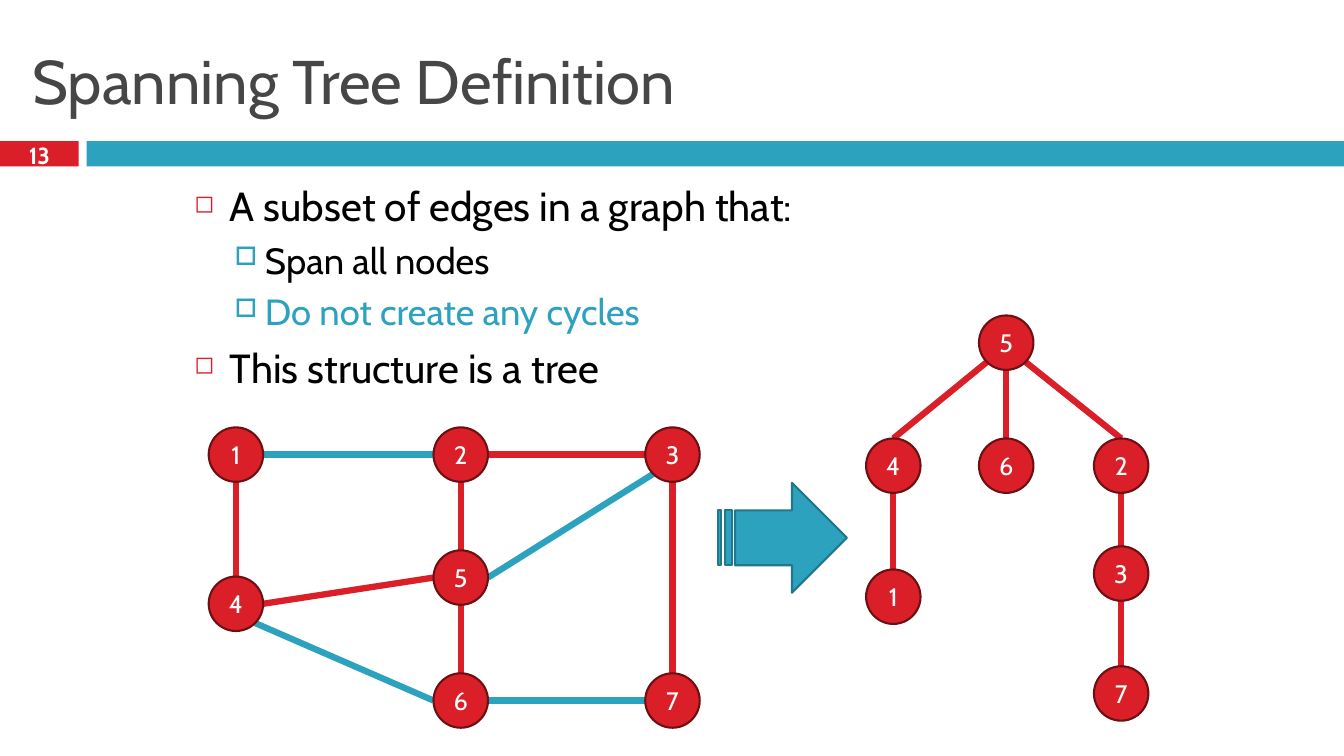
from lxml.etree import SubElement
from pptx import Presentation
from pptx.dml.color import RGBColor
from pptx.enum.shapes import MSO_CONNECTOR as Connector, MSO_SHAPE as Shape
from pptx.enum.text import MSO_ANCHOR as Anchor, PP_ALIGN as Align
from pptx.oxml.ns import qn
from pptx.util import Inches, Pt

RED, TEAL, WHITE, BLACK = "DA1F28", "2DA2BF", "FFFFFF", "000000"
DARK_RED, DARK_TEAL, GREY = "6D1014", "21788D", "464646"
NODE = 0.54
RADIUS = NODE / 2
DIAGONAL = RADIUS * 0.71

# Points on a node's rim, as offsets from its centre
RIM = {
    "top": (0, -RADIUS), "bottom": (0, RADIUS),
    "left": (-RADIUS, 0), "right": (RADIUS, 0),
    "lower left": (-DIAGONAL, DIAGONAL), "lower right": (DIAGONAL, DIAGONAL),
}


def color(hex_code):
    return RGBColor.from_string(hex_code)


def add_preset(page, kind, box, fill, outline=None):
    shape = page.shapes.add_shape(kind, *map(Inches, box))
    shape.shadow.inherit = False
    shape.fill.solid()
    shape.fill.fore_color.rgb = color(fill)
    if outline:
        shape.line.color.rgb = color(outline)
        shape.line.width = Pt(1.5)
    else:
        shape.line.fill.background()
    return shape


def add_text_frame(page, box, anchor=Anchor.MIDDLE):
    frame = page.shapes.add_textbox(*map(Inches, box)).text_frame
    frame.word_wrap = True
    frame.vertical_anchor = anchor
    return frame


def write(para, text, size, ink, align=Align.LEFT, bold=False):
    para.text = text
    para.alignment = align
    para.font.name = "Cabin"
    para.font.size = Pt(size)
    para.font.bold = bold
    para.font.color.rgb = color(ink)


def add_bullet(para, char, ink, percent, margin, hanging):
    props = para._p.get_or_add_pPr()
    props.set("marL", str(Inches(margin)))
    props.set("indent", str(-Inches(hanging)))
    bullet_color = SubElement(props, qn("a:buClr"))
    SubElement(bullet_color, qn("a:srgbClr"), val=ink)
    SubElement(props, qn("a:buSzPct"), val=str(percent * 1000))
    SubElement(props, qn("a:buChar"), char=char)


def add_header(page, box, title, number):
    left, top, width, height = box
    bar_top, bar_height, number_width, bar_left = top + 1.4, 0.25, 0.78, 0.86
    add_preset(page, Shape.RECTANGLE, (left, bar_top, number_width, bar_height), RED)
    add_preset(page, Shape.RECTANGLE,
               (left + bar_left, bar_top, width - bar_left, bar_height), TEAL)
    title_frame = add_text_frame(page, (left + 0.22, top + 0.25, width - 0.44, 1.08))
    write(title_frame.paragraphs[0], title, 44, GREY)
    number_frame = add_text_frame(page, (left, bar_top - 0.03, number_width, 0.33))
    write(number_frame.paragraphs[0], number, 16.6, WHITE, Align.CENTER, bold=True)


def add_bullet_list(page, box, items):
    frame = add_text_frame(page, box, Anchor.TOP)
    for index, (level, text, ink) in enumerate(items):
        para = frame.add_paragraph() if index else frame.paragraphs[0]
        para.level = level
        para.space_before = Pt(5.5 if level else 7)
        if level:
            add_bullet(para, "□", TEAL, 70, 0.7, 0.3)
        else:
            add_bullet(para, "◻", RED, 60, 0.35, 0.35)
        write(para, text, 26 if level else 29, ink)


def add_edge(page, start, end, ink):
    edge = page.shapes.add_connector(Connector.STRAIGHT, *map(Inches, start + end))
    edge.line.color.rgb = color(ink)
    edge.line.width = Pt(4.5)
    SubElement(edge._element.spPr, qn("a:effectLst"))


def add_node(page, center, label):
    x, y = center
    node = add_preset(page, Shape.OVAL, (x - RADIUS, y - RADIUS, NODE, NODE),
                      RED, DARK_RED)
    frame = node.text_frame
    frame.margin_left = frame.margin_right = 0
    frame.vertical_anchor = Anchor.MIDDLE
    write(frame.paragraphs[0], label, 18, WHITE, Align.CENTER)


def add_graph(page, box, nodes, edges):
    """Nodes map labels to centres in the box; edges join points on the rims."""
    left, top = box[:2]
    centers = {label: (left + x, top + y) for label, (x, y) in nodes.items()}

    def rim_point(label, side):
        return tuple(c + offset for c, offset in zip(centers[label], RIM[side]))

    for first, first_side, second, second_side, ink in edges:
        add_edge(page, rim_point(first, first_side),
                 rim_point(second, second_side), ink)
    for label, center in centers.items():
        add_node(page, center, label)


def add_spanning_tree_slide(deck):
    page = deck.slides.add_slide(deck.slide_layouts[6])
    add_header(page, (0, 0, 13.33, 1.7), "Spanning Tree Definition", "13")
    add_bullet_list(page, (1.83, 1.75, 9.67, 2.29), [
        (0, "A subset of edges in a graph that:", BLACK),
        (1, "Span all nodes", BLACK),
        (1, "Do not create any cycles", TEAL),
        (0, "This structure is a tree", BLACK),
    ])

    # Graph: the edges of the spanning tree are red
    near, middle, far = RADIUS, 2.5, 4.6
    upper, center, lower = RADIUS, 1.49, 2.71
    add_graph(page, (2.07, 4.24, 4.87, 2.98), {
        "1": (near, upper), "2": (middle, upper), "3": (far, upper),
        "4": (near, 1.75), "5": (middle, center),
        "6": (middle, lower), "7": (far, lower),
    }, [
        ("1", "right", "2", "left", TEAL),
        ("5", "right", "3", "lower left", TEAL),
        ("6", "right", "7", "left", TEAL),
        ("4", "lower right", "6", "left", TEAL),
        ("2", "right", "3", "left", RED),
        ("2", "bottom", "5", "top", RED),
        ("5", "bottom", "6", "top", RED),
        ("3", "bottom", "7", "top", RED),
        ("1", "bottom", "4", "top", RED),
        ("4", "right", "5", "left", RED),
    ])

    # Arrow from the graph to its tree
    add_preset(page, Shape.STRIPED_RIGHT_ARROW, (7.12, 4.79, 1.28, 1.09),
               TEAL, DARK_TEAL)

    # The same edges hung from node 5
    near, middle, far = RADIUS, 1.39, 2.53
    children = 1.49
    add_graph(page, (8.59, 3.13, 2.8, 4.02), {
        "5": (middle, RADIUS),
        "4": (near, children), "6": (middle, children), "2": (far, children),
        "1": (near, 2.79), "3": (far, 2.56), "7": (far, 3.75),
    }, [
        ("5", "lower left", "4", "top", RED),
        ("5", "bottom", "6", "top", RED),
        ("5", "lower right", "2", "top", RED),
        ("4", "bottom", "1", "top", RED),
        ("2", "bottom", "3", "top", RED),
        ("3", "bottom", "7", "top", RED),
    ])


deck = Presentation()
deck.slide_width, deck.slide_height = Inches(13.33), Inches(7.5)
add_spanning_tree_slide(deck)
deck.save("out.pptx")
